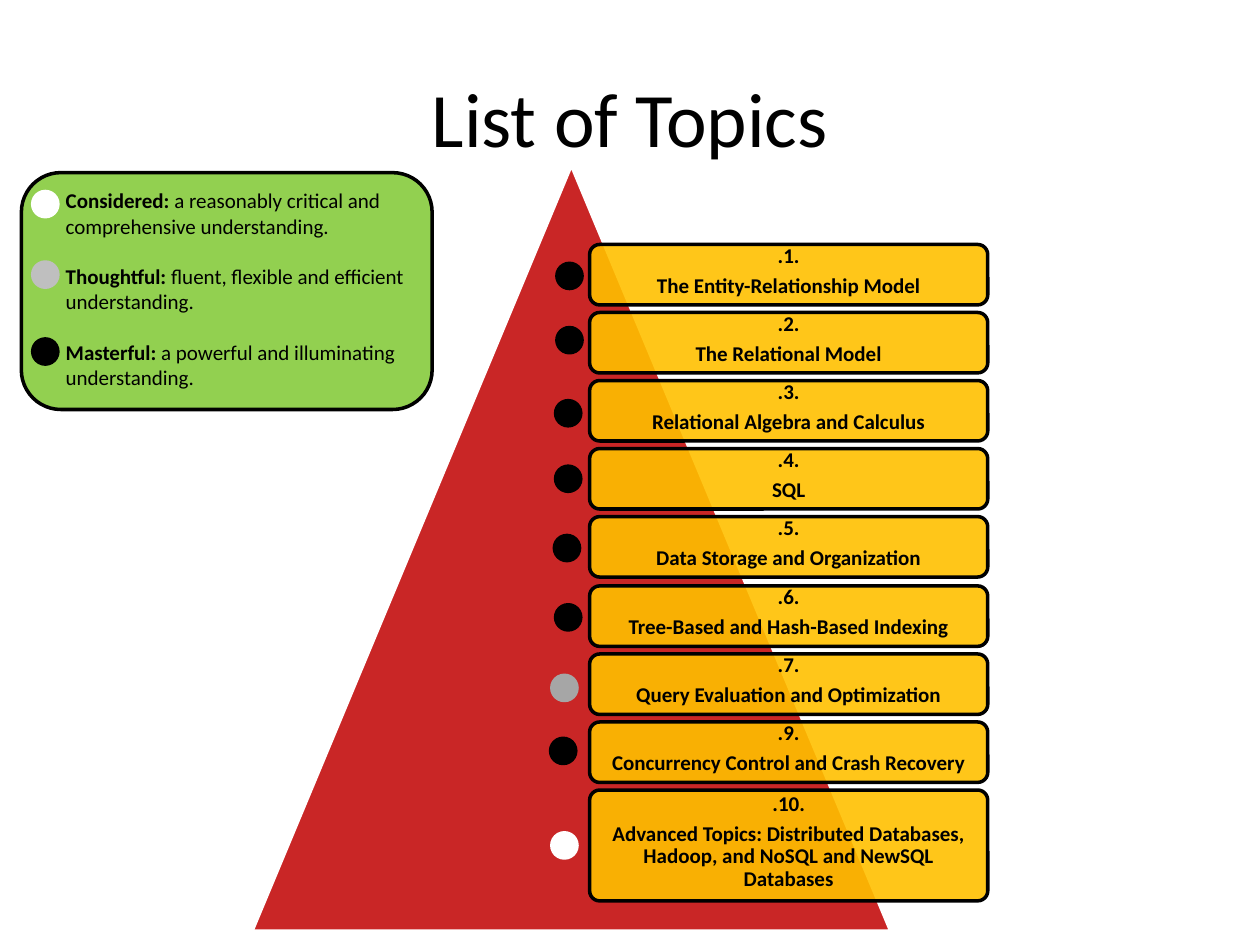
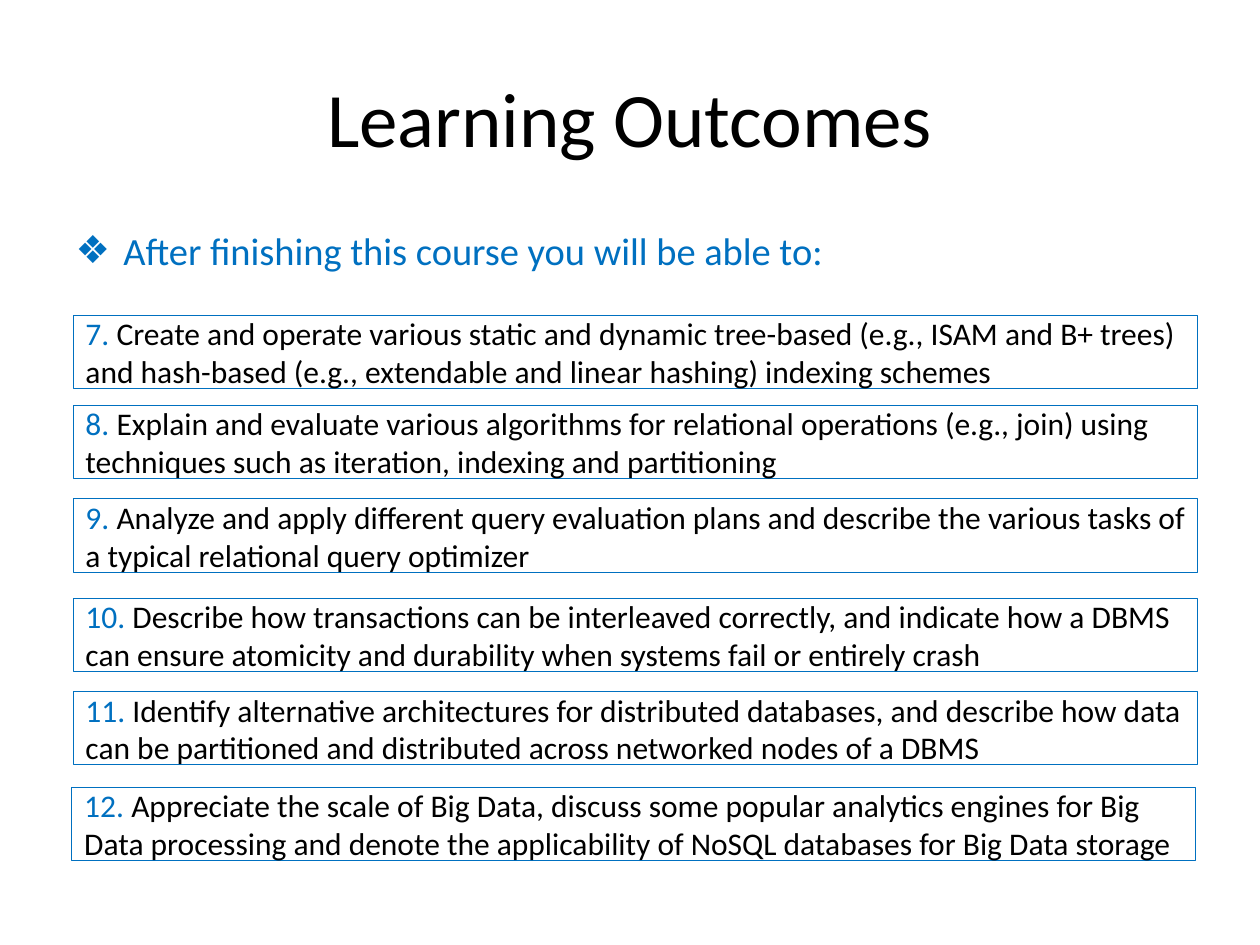
from lxml import etree
from pptx import Presentation
from pptx.dml.color import RGBColor
from pptx.enum.shapes import MSO_SHAPE
from pptx.enum.text import MSO_ANCHOR, PP_ALIGN
from pptx.oxml.ns import qn
from pptx.util import Pt

TRIANGLE = MSO_SHAPE.ISOSCELES_TRIANGLE
ROUNDED = MSO_SHAPE.ROUNDED_RECTANGLE
RECTANGLE = MSO_SHAPE.RECTANGLE
OVAL = MSO_SHAPE.OVAL
TOP, MIDDLE = MSO_ANCHOR.TOP, MSO_ANCHOR.MIDDLE
LEFT, CENTER = PP_ALIGN.LEFT, PP_ALIGN.CENTER

PX = 9144
FONT = "Calibri"
DOT = 20
COLORS = {
    "black": "000000",
    "white": "FFFFFF",
    "red": "C00000",
    "amber": "FFC000",
    "green": "92D050",
    "blue": "0070C0",
    "gray": "A6A6A6",
    "light gray": "BFBFBF",
}


def add_span(para, text, size=12, color="black", bold=False):
    span = para.add_run()
    span.text = text
    span.font.name = FONT
    span.font.size = Pt(size)
    span.font.bold = bold
    span.font.color.rgb = RGBColor.from_string(COLORS[color])


def add_box(page, kind, place, fill, line, width=2, opacity=100, anchor=MIDDLE, insets=(0, 0, 0, 0)):
    box = page.shapes.add_shape(kind, *[length * PX for length in place])
    box.shadow.inherit = False
    box.fill.solid()
    box.fill.fore_color.rgb = RGBColor.from_string(COLORS[fill])
    if opacity < 100:
        color = box.fill._xPr.find(qn("a:solidFill"))[0]
        etree.SubElement(color, qn("a:alpha"), val=str(opacity * 1000))
    box.line.color.rgb = RGBColor.from_string(COLORS[line])
    box.line.width = Pt(width)
    frame = box.text_frame
    frame.word_wrap = True
    frame.vertical_anchor = anchor
    frame.margin_left, frame.margin_top, frame.margin_right, frame.margin_bottom = [
        inset * PX for inset in insets
    ]
    return box


deck = Presentation()
deck.slide_width, deck.slide_height = 1000 * PX, 750 * PX

pages = []
for heading, layout in (("List of Topics", 5), ("Learning Outcomes", 1)):
    page = deck.slides.add_slide(deck.slide_layouts[layout])
    title = page.shapes.title
    title.left, title.top, title.width, title.height = 50 * PX, 30 * PX, 900 * PX, 125 * PX
    title.text_frame.vertical_anchor = MIDDLE
    para = title.text_frame.paragraphs[0]
    para.alignment = CENTER
    add_span(para, heading, size=44)
    pages.append(page)
topics_page, outcomes_page = pages

add_box(topics_page, TRIANGLE, (200, 131, 507, 608), "red", "white", opacity=85)

topics = [
    (".1.", "The Entity-Relationship Model", "black", 442, 209),
    (".2.", "The Relational Model", "black", 442, 260),
    (".3.", "Relational Algebra and Calculus", "black", 441, 318),
    (".4.", "SQL", "black", 441, 370),
    (".5.", "Data Storage and Organization", "black", 440, 425),
    (".6.", "Tree-Based and Hash-Based Indexing", "black", 441, 480),
    (".7.", "Query Evaluation and Optimization", "gray", 438, 536),
    (".9.", "Concurrency Control and Crash Recovery", "black", 437, 586),
    (
        ".10.",
        "Advanced Topics: Distributed Databases, Hadoop, and NoSQL and NewSQL Databases",
        "white", 438, 661,
    ),
]
for index, (number, topic, level, dot_left, dot_top) in enumerate(topics):
    top = 194 + index * 542 // 10
    height = 88 if index == len(topics) - 1 else 48
    box = add_box(topics_page, ROUNDED, (468, top, 316, height), "amber", "black",
                  opacity=90, insets=(5, 5, 5, 10))
    box.adjustments[0] = 8 / height
    frame = box.text_frame
    for para, text in ((frame.paragraphs[0], number), (frame.add_paragraph(), topic)):
        para.alignment = CENTER
        para.line_spacing = 0.9
        para.space_after = Pt(4)
        add_span(para, text, bold=True)
    add_box(topics_page, OVAL, (dot_left, dot_top, DOT, DOT), level, level)

legend = add_box(topics_page, ROUNDED, (17, 137, 326, 188), "green", "black",
                 anchor=TOP, insets=(0, 3, 0, 0))
levels = [
    ("Considered:", " a reasonably critical and comprehensive understanding.", "white", 152),
    ("Thoughtful:", " fluent, flexible and efficient understanding.", "light gray", 208),
    ("Masterful:", " a powerful and illuminating understanding.", "black", 269),
]
for index, (level, meaning, color, dot_top) in enumerate(levels):
    para = legend.text_frame.add_paragraph() if index else legend.text_frame.paragraphs[0]
    para.alignment = LEFT
    para.space_before = Pt(14.5 if index else 0)
    para._p.get_or_add_pPr().set("marL", str(26 * PX))
    add_span(para, level, bold=True)
    add_span(para, meaning)
    add_box(topics_page, OVAL, (26, dot_top, DOT, DOT), color, color)

body = outcomes_page.placeholders[1]
body.left, body.top, body.width, body.height = 50 * PX, 175 * PX, 900 * PX, 50 * PX
para = body.text_frame.paragraphs[0]
para.space_before = Pt(0)
properties = para._p.get_or_add_pPr()
properties.set("marL", str(38 * PX))
properties.set("indent", str(-38 * PX))
etree.SubElement(properties, qn("a:buChar"), char="❖")
add_span(para, "After finishing this course you will be able to:", size=22, color="blue")

outcomes = [
    (58, 250, "Create and operate various static and dynamic tree-based (e.g., ISAM and B+ trees) "
     "and hash-based (e.g., extendable and linear hashing) indexing schemes"),
    (58, 322, "Explain and evaluate various algorithms for relational operations (e.g., join) using "
     "techniques such as iteration, indexing and partitioning"),
    (58, 396, "Analyze and apply different query evaluation plans and describe the various tasks of "
     "a typical relational query optimizer"),
    (58, 475, "Describe how transactions can be interleaved correctly, and indicate how a DBMS "
     "can ensure atomicity and durability when systems fail or entirely crash"),
    (58, 549, "Identify alternative architectures for distributed databases, and describe how data "
     "can be partitioned and distributed across networked nodes of a DBMS"),
    (57, 625, "Appreciate the scale of Big Data, discuss some popular analytics engines for Big "
     "Data processing and denote the applicability of NoSQL databases for Big Data storage"),
]
for number, (left, top, outcome) in enumerate(outcomes, start=7):
    box = add_box(outcomes_page, RECTANGLE, (left, top, 892, 58), "white", "blue",
                  width=0.5, insets=(10, 0, 0, 0))
    para = box.text_frame.paragraphs[0]
    para.alignment = LEFT
    add_span(para, f"{number}. ", size=18, color="blue")
    add_span(para, outcome, size=18)

deck.save("out.pptx")
